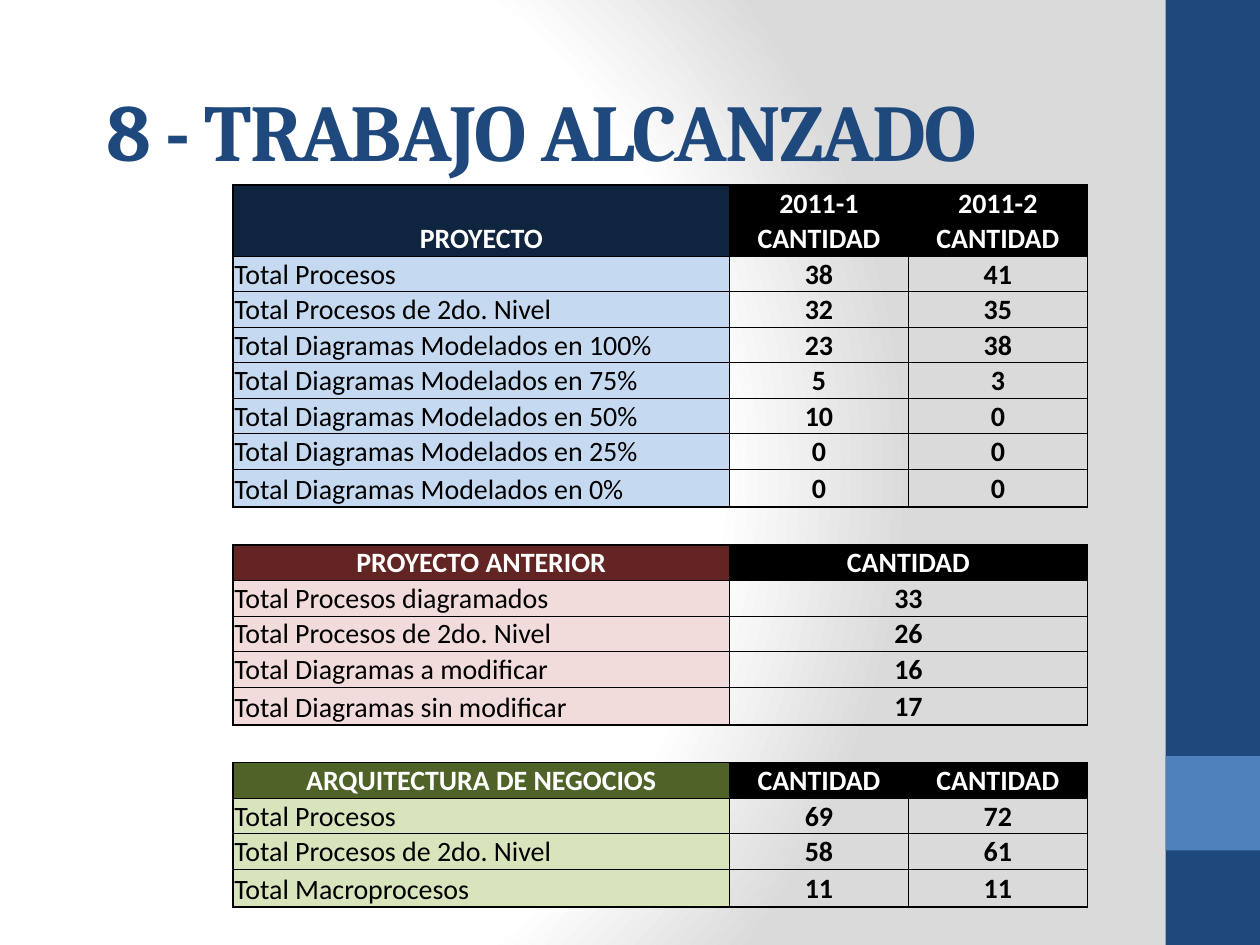
from dataclasses import dataclass

from lxml import etree
from pptx import Presentation
from pptx.dml.color import RGBColor
from pptx.enum import shapes, text
from pptx.oxml import parse_xml
from pptx.oxml.ns import qn
from pptx.util import Inches, Pt

DRAWING = "http://schemas.openxmlformats.org/drawingml/2006/main"
NO_STYLE = "{2D5ABB26-0587-4C30-8999-92F81FD0307C}"


@dataclass(frozen=True)
class Theme:
    """Colours, fonts and sizes of the slide."""
    navy: str = "1F497D"
    blue: str = "4F81BD"
    white: str = "FFFFFF"
    grey: str = "DADADA"
    black: str = "000000"
    title_font: str = "Cambria"
    table_font: str = "Calibri"
    title_size: int = 46
    table_size: int = 16
    thick: float = 1
    thin: float = 0.5


@dataclass(frozen=True)
class Block:
    """One group of table rows under its own heading."""
    head_fill: str
    label_fill: str
    heads: list
    rows: list


THEME = Theme()
BLOCKS = [
    Block("0F243E", "C5D9F1",
          [["PROYECTO", "2011-1", "2011-2"], ["", "CANTIDAD", "CANTIDAD"]],
          [["Total Procesos", "38", "41"],
           ["Total Procesos de 2do. Nivel", "32", "35"],
           ["Total Diagramas Modelados en 100%", "23", "38"],
           ["Total Diagramas Modelados en 75%", "5", "3"],
           ["Total Diagramas Modelados en 50%", "10", "0"],
           ["Total Diagramas Modelados en 25%", "0", "0"],
           ["Total Diagramas Modelados en 0%", "0", "0"]]),
    Block("632523", "F2DCDB",
          [["PROYECTO ANTERIOR", "CANTIDAD"]],
          [["Total Procesos diagramados", "33"],
           ["Total Procesos de 2do. Nivel", "26"],
           ["Total Diagramas a modificar", "16"],
           ["Total Diagramas sin modificar", "17"]]),
    Block("4F6228", "D8E4BC",
          [["ARQUITECTURA DE NEGOCIOS", "CANTIDAD", "CANTIDAD"]],
          [["Total Procesos", "69", "72"],
           ["Total Procesos de 2do. Nivel", "58", "61"],
           ["Total Macroprocesos", "11", "11"]]),
]


def style_run(run, font, size, colour, bold):
    """Give a run its font, size, colour and weight."""
    run.font.name, run.font.size, run.font.bold = font, Pt(size), bold
    run.font.color.rgb = RGBColor.from_string(colour)


def paint_background(page):
    """Fill the page with a radial gradient from white to grey."""
    page.background.fill.solid()
    solid = next(page.element.iter(qn("a:solidFill")))
    stops = "".join(
        f'<a:gs pos="{place * 1000}"><a:srgbClr val="{colour}"/></a:gs>'
        for place, colour in ((0, THEME.white), (75, THEME.white), (100, THEME.grey)))
    gradient = parse_xml(
        f'<a:gradFill xmlns:a="{DRAWING}" rotWithShape="1"><a:gsLst>{stops}</a:gsLst>'
        '<a:path path="circle"><a:fillToRect l="20000" t="50000" r="100000" b="50000"/>'
        '</a:path></a:gradFill>')
    solid.getparent().replace(solid, gradient)


def add_sidebar(page, left, top, width, height):
    """Draw the navy band with a blue square near its foot."""
    bars = ((top, height, THEME.navy), (top + height - 2 * width, width, THEME.blue))
    for bar_top, bar_height, colour in bars:
        bar = page.shapes.add_shape(shapes.MSO_SHAPE.RECTANGLE, left, bar_top, width, bar_height)
        bar.shadow.inherit = False
        bar.fill.solid()
        bar.fill.fore_color.rgb = RGBColor.from_string(colour)
        bar.line.fill.background()


def add_title(page, left, top, width, height):
    """Place the slide title."""
    frame = page.shapes.add_textbox(left, top, width, height).text_frame
    frame.word_wrap = True
    frame.vertical_anchor = text.MSO_ANCHOR.MIDDLE
    frame.text = "8 - TRABAJO ALCANZADO"
    run = frame.paragraphs[0].runs[0]
    style_run(run, THEME.title_font, THEME.title_size, THEME.navy, True)
    run.font._element.set("spc", "-100")


def set_borders(cell, widths):
    """Draw the left, right, top and bottom borders; None leaves a side open."""
    properties = cell._tc.get_or_add_tcPr()
    for side, width in zip("LRTB", widths):
        line = etree.SubElement(properties, qn(f"a:ln{side}"))
        if width is None:
            etree.SubElement(line, qn("a:noFill"))
            continue
        line.set("w", str(Pt(width)))
        fill = etree.SubElement(line, qn("a:solidFill"))
        etree.SubElement(fill, qn("a:srgbClr"), val=THEME.black)


def format_cell(cell, value, fill, colour, bold, centred, anchor, borders):
    """Write a cell and set its insets, borders, fill and text style."""
    cell.margin_left = cell.margin_right = cell.margin_top = Inches(0.01)
    cell.margin_bottom = 0
    cell.vertical_anchor = anchor
    set_borders(cell, borders)
    if fill:
        cell.fill.solid()
        cell.fill.fore_color.rgb = RGBColor.from_string(fill)
    else:
        cell.fill.background()
    para = cell.text_frame.paragraphs[0]
    para.alignment = text.PP_ALIGN.CENTER if centred else text.PP_ALIGN.LEFT
    if value:
        para.text = value
        style_run(para.runs[0], THEME.table_font, THEME.table_size, colour, bold)
    else:
        para._p.get_or_add_endParaRPr().set("sz", str(THEME.table_size * 100))


def fill_block(table, start, block):
    """Fill the rows of one block and return the row after it."""
    lines = block.heads + block.rows
    last = len(lines) - 1
    if len(block.heads) == 2:
        table.cell(start, 0).merge(table.cell(start + 1, 0))
    for index, values in enumerate(lines):
        if len(values) == 2:
            table.cell(start + index, 1).merge(table.cell(start + index, 2))
        head = index < len(block.heads)
        for column, value in enumerate(values + [""] * (3 - len(values))):
            cell = table.cell(start + index, column)
            label = column == 0
            if head:
                fill = block.head_fill if label else THEME.black
            else:
                fill = block.label_fill if label else None
            edges = (label, column + cell.span_width == 3, index == 0, index == last)
            borders = [THEME.thick if edge else THEME.thin for edge in edges]
            low = label and len(values) + len(block.heads) != 3 or label and not head
            anchor = text.MSO_ANCHOR.BOTTOM if low else text.MSO_ANCHOR.MIDDLE
            format_cell(cell, value, fill, THEME.white if head else THEME.black,
                        head or not label, head or not label, anchor, borders)
    table.rows[start + last].height = Inches(0.3)
    return start + len(lines)


def add_results_table(page, left, top, width, height):
    """Place the table of totals, its blocks parted by open rows."""
    count = sum(len(block.heads + block.rows) for block in BLOCKS) + len(BLOCKS) - 1
    table = page.shapes.add_table(count, 3, left, top, width, height).table
    table.first_row = table.horz_banding = False
    table._tbl.tblPr.find(qn("a:tableStyleId")).text = NO_STYLE
    label_width = Inches(3.94)
    for index, column in enumerate(table.columns):
        column.width = label_width if index == 0 else (width - label_width) // 2
    for row in table.rows:
        row.height = Inches(0.28)
    start = 0
    for block in BLOCKS:
        if start:
            table.rows[start].height = Inches(0.3)
            for cell in table.rows[start].cells:
                format_cell(cell, "", None, THEME.black, False, False,
                            text.MSO_ANCHOR.BOTTOM, (None, None, THEME.thick, THEME.thick))
            start += 1
        start = fill_block(table, start, block)


def main():
    """Build the slide and save it."""
    deck = Presentation()
    deck.slide_width, deck.slide_height = Inches(10), Inches(7.5)
    page = deck.slides.add_slide(deck.slide_layouts[6])
    paint_background(page)
    add_sidebar(page, Inches(9.25), 0, Inches(0.75), Inches(7.5))
    add_results_table(page, Inches(1.85), Inches(1.47), Inches(6.78), Inches(5.72))
    add_title(page, Inches(0.75), Inches(0.52), Inches(8.27), Inches(1.01))
    deck.save("out.pptx")


if __name__ == "__main__":
    main()
